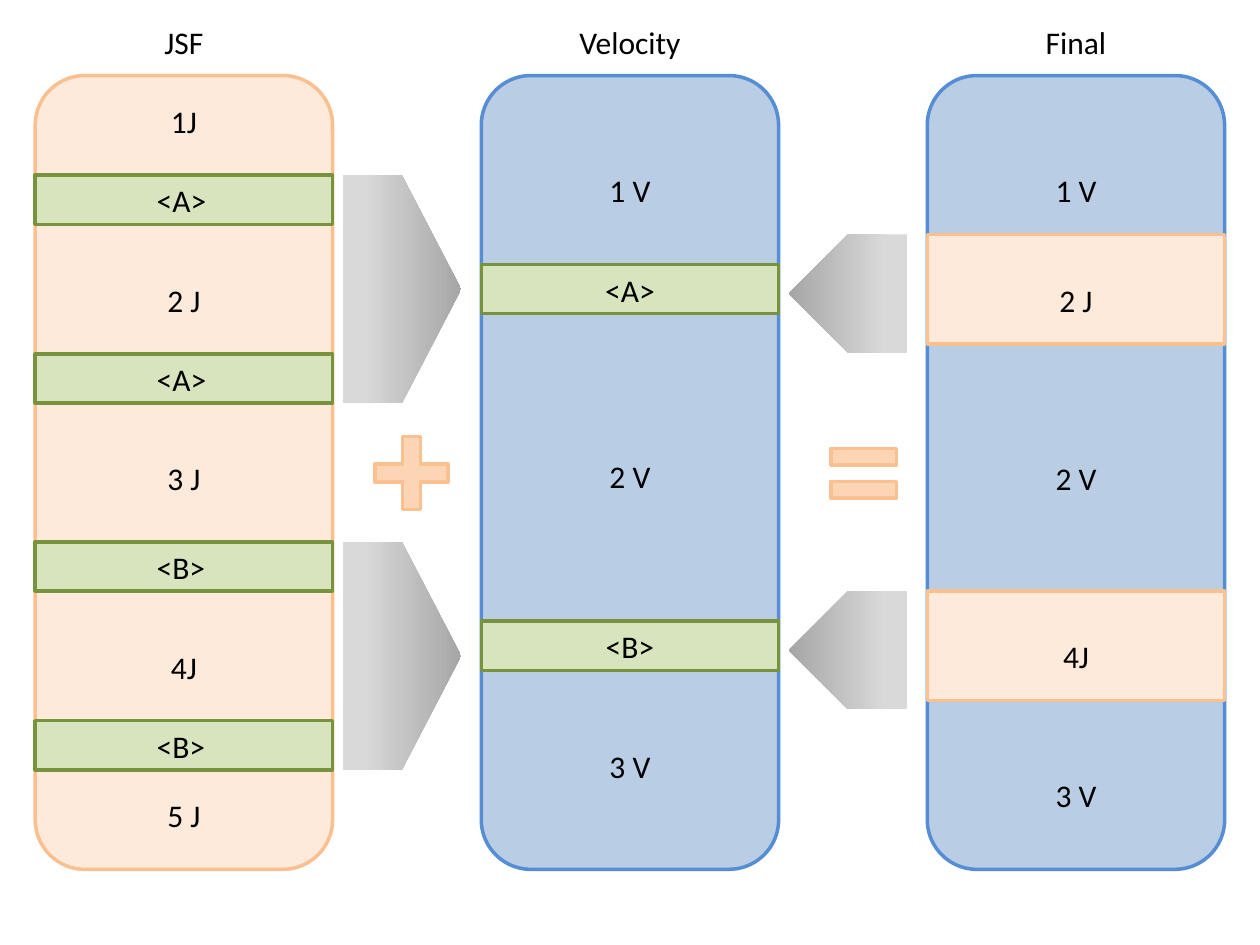
"""Build a slide showing JSF and Velocity templates merging into a final page."""
from copy import deepcopy

from pptx import Presentation
from pptx.dml.color import RGBColor
from pptx.enum.shapes import MSO_SHAPE
from pptx.enum.text import MSO_AUTO_SIZE, PP_ALIGN
from pptx.util import Inches, Pt

PEACH = ("FDEADA", "FAC090")
BLUE = ("B9CDE5", "558ED5")
GREEN = ("D7E4BD", "77933C")
ORANGE = ("FCD5B5", "FAC090")
GRADIENT = [(0, "D9D9D9"), (0.18, "D9D9D9"), (1, "A6A6A6")]
COLUMN_LEFT, COLUMN_STEP, COLUMN_WIDTH = 0.28, 3.54, 2.36
TAG_HEIGHT, INSERT_HEIGHT = 0.39, 0.87

deck = Presentation()
deck.slide_width, deck.slide_height = Inches(10), Inches(7.5)
page = deck.slides.add_slide(deck.slide_layouts[6])


def add_block(kind, left, top, width, height, colours=None):
    shape = page.shapes.add_shape(kind, Inches(left), Inches(top), Inches(width), Inches(height))
    shape.shadow.inherit = False
    if colours:
        fill, line = colours
        shape.fill.solid()
        shape.fill.fore_color.rgb = RGBColor.from_string(fill)
        shape.line.color.rgb = RGBColor.from_string(line)
        shape.line.width = Pt(2)
    return shape


def add_label(text, centre, top, width=0.63, align=PP_ALIGN.CENTER):
    box = page.shapes.add_textbox(Inches(centre - width / 2), Inches(top), Inches(width), Inches(0.4))
    box.text_frame.word_wrap = True
    box.text_frame.auto_size = MSO_AUTO_SIZE.SHAPE_TO_FIT_TEXT
    para = box.text_frame.paragraphs[0]
    para.text = text
    para.alignment = align
    para.font.size = Pt(18)
    para.font.name = "Calibri"
    para.font.color.rgb = RGBColor.from_string("000000")


columns = [
    ("JSF", 0.63, PEACH, GREEN, TAG_HEIGHT, PP_ALIGN.LEFT,
     [("<A>", 1.39), ("<A>", 2.81), ("<B>", 4.3), ("<B>", 5.72)],
     [("1J", 0.76), ("2 J", 2.18), ("3 J", 3.59), ("4J", 5.09), ("5 J", 6.27)]),
    ("Velocity", 1.26, BLUE, GREEN, TAG_HEIGHT, PP_ALIGN.CENTER,
     [("<A>", 2.1), ("<B>", 4.93)],
     [("1 V", 1.31), ("2 V", 3.58), ("3 V", 5.88)]),
    ("Final", 1.26, BLUE, PEACH, INSERT_HEIGHT, PP_ALIGN.CENTER,
     [("2 J", 1.86), ("4J", 4.69)],
     [("1 V", 1.31), ("2 V", 3.59), ("3 V", 6.11)]),
]
for index, (title, title_width, colours, band_colours, band_height, align, bands, labels) in enumerate(columns):
    left = COLUMN_LEFT + index * COLUMN_STEP
    centre = left + COLUMN_WIDTH / 2
    add_label(title, centre, 0.13, title_width)
    add_block(MSO_SHAPE.ROUNDED_RECTANGLE, left, 0.6, COLUMN_WIDTH, 6.3, colours)
    text_offset = 0.32 if band_height == INSERT_HEIGHT else 0
    for text, top in bands:
        add_block(MSO_SHAPE.RECTANGLE, left, top, COLUMN_WIDTH, band_height, band_colours)
        add_label(text, centre, top + text_offset, align=align)
    for text, top in labels:
        add_label(text, centre, top)

plus = add_block(MSO_SHAPE.MATH_PLUS, 2.87, 3.36, 0.79, 0.79, ORANGE)
plus.adjustments[0] = 0.181
equal = add_block(MSO_SHAPE.MATH_EQUAL, 6.5, 3.36, 0.71, 0.79, ORANGE)
equal.adjustments[0] = 0.167
equal.adjustments[1] = 0.164

arrows = [(2.72, 1.39, 1.81, 0), (2.72, 4.3, 1.81, 0), (6.26, 1.86, 0.94, 180), (6.26, 4.69, 0.94, 180)]
for left, top, height, rotation in arrows:
    arrow = add_block(MSO_SHAPE.PENTAGON, left, top, 0.94, height)
    arrow.rotation = rotation
    arrow.line.fill.background()
    arrow.fill.gradient()
    arrow.fill.gradient_angle = 0
    first_stop = next(arrow.element.spPr.iter("{*}gs"))
    first_stop.addnext(deepcopy(first_stop))
    for stop, (position, colour) in zip(arrow.fill.gradient_stops, GRADIENT):
        stop.position = position
        stop.color.rgb = RGBColor.from_string(colour)

deck.save("out.pptx")
